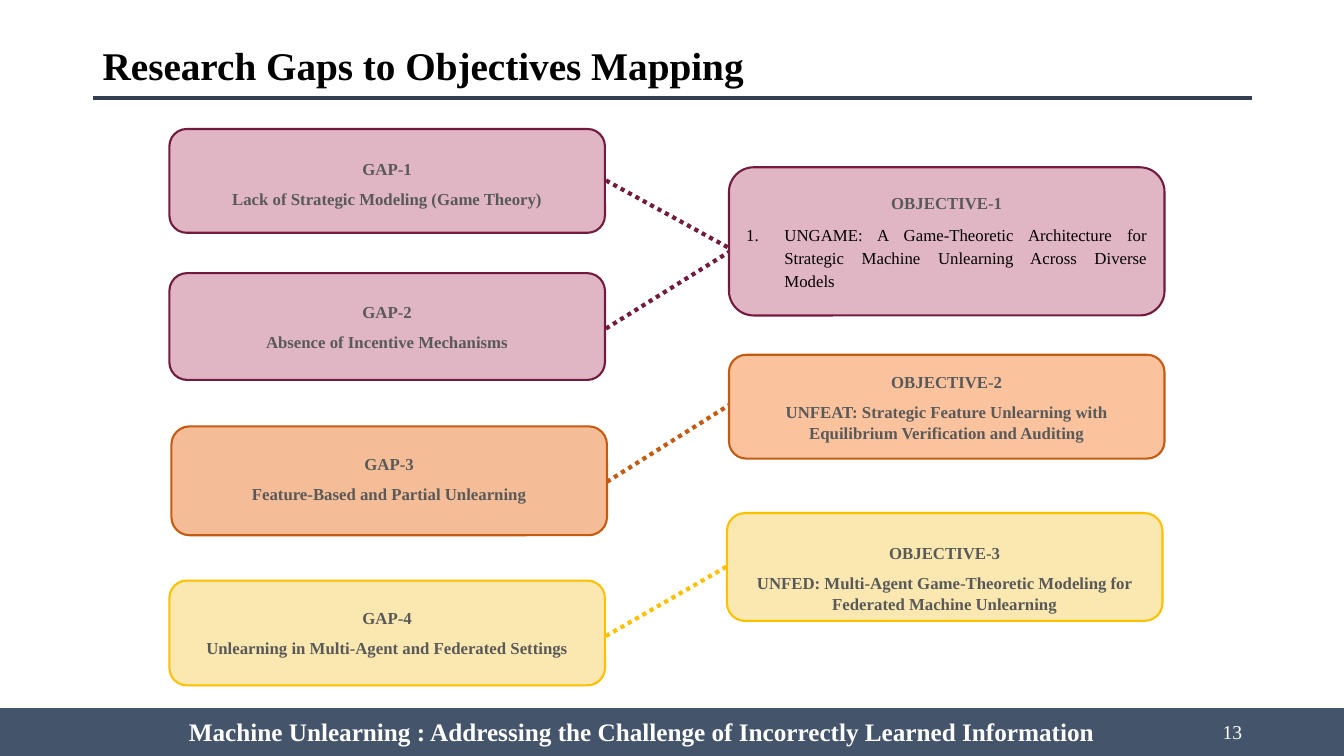
"""Builds the slide that maps research gaps to objectives."""
import pptx
import pptx.dml.color
import pptx.enum.dml
import pptx.enum.shapes
import pptx.enum.text
import pptx.oxml.ns
import pptx.util
from lxml import etree

Inches = pptx.util.Inches
Pt = pptx.util.Pt
Align = pptx.enum.text.PP_ALIGN
Anchor = pptx.enum.text.MSO_ANCHOR
qn = pptx.oxml.ns.qn


def color(hex_string):
    return pptx.dml.color.RGBColor.from_string(hex_string)


def write(paragraph, text, size, hex_string, bold, alignment):
    paragraph.text = text
    paragraph.alignment = alignment
    paragraph.font.name = "Times New Roman"
    paragraph.font.size = Pt(size)
    paragraph.font.bold = bold
    paragraph.font.color.rgb = color(hex_string)


presentation = pptx.Presentation()
presentation.slide_width = Inches(13.33)
presentation.slide_height = Inches(7.5)
slide = presentation.slides.add_slide(presentation.slide_layouts[6])

footer = slide.shapes.add_shape(
    pptx.enum.shapes.MSO_SHAPE.RECTANGLE, 0, Inches(7.03), Inches(13.33), Inches(0.47))
footer.shadow.inherit = False
footer.fill.solid()
footer.fill.fore_color.rgb = color("44546A")
footer.line.color.rgb = color("44546A")
footer.line.width = Pt(1)

labels = [
    (0.92, 0.36, 8.5, 0.57, "Research Gaps to Objectives Mapping", 28, "000000", True, Align.LEFT),
    (9.42, 7.06, 3, 0.4, "13", 14, "FFFFFF", False, Align.RIGHT),
    (1.45, 7.06, 9.83, 0.4,
     "Machine Unlearning : Addressing the Challenge of Incorrectly Learned Information",
     18, "FFFFFF", True, Align.CENTER),
]
for left, top, width, height, *text_style in labels:
    label = slide.shapes.add_textbox(Inches(left), Inches(top), Inches(width), Inches(height))
    label.text_frame.word_wrap = True
    label.text_frame.vertical_anchor = Anchor.MIDDLE
    write(label.text_frame.paragraphs[0], *text_style)

# left, top, height, fill, line, top inset, bottom inset, heading, body
cards = [
    (1.68, 1.28, 1.03, "C46F8A", "731B3F", 0.09, 0.05,
     "GAP-1", "Lack of Strategic Modeling (Game Theory)"),
    (1.68, 2.71, 1.06, "C46F8A", "731A3F", 0.05, 0.05,
     "GAP-2", "Absence of Incentive Mechanisms"),
    (1.7, 4.23, 1.08, "ED7D31", "C55A11", 0.05, 0.11,
     "GAP-3", "Feature-Based and Partial Unlearning"),
    (1.68, 5.76, 1.04, "F6D362", "FFC000", 0.05, 0.07,
     "GAP-4", "Unlearning in Multi-Agent and Federated Settings"),
    (7.23, 1.66, 1.47, "C46F8A", "731A3F", 0.05, 0.05, "OBJECTIVE-1",
     "UNGAME: A Game-Theoretic Architecture for Strategic Machine Unlearning Across Diverse Models"),
    (7.23, 3.52, 1.03, "F9873E", "C55A11", 0.05, 0.05, "OBJECTIVE-2",
     "UNFEAT: Strategic Feature Unlearning with Equilibrium Verification and Auditing"),
    (7.21, 5.09, 1.07, "F6D362", "FFC000", 0.21, 0, "OBJECTIVE-3",
     "UNFED: Multi-Agent Game-Theoretic Modeling for Federated Machine Unlearning"),
]
for left, top, height, fill, line, inset_top, inset_bottom, heading, body in cards:
    card = slide.shapes.add_shape(
        pptx.enum.shapes.MSO_SHAPE.ROUNDED_RECTANGLE,
        Inches(left), Inches(top), Inches(4.32), Inches(height))
    card.shadow.inherit = False
    card.fill.solid()
    card.fill.fore_color.rgb = color(fill)
    fill_color = card.fill._xPr.find(qn("a:solidFill"))[0]
    etree.SubElement(fill_color, qn("a:alpha"), val="50000")
    card.line.color.rgb = color(line)
    card.line.width = Pt(1.5)

    frame = card.text_frame
    frame.word_wrap = True
    frame.vertical_anchor = Anchor.MIDDLE
    frame.margin_top = Inches(inset_top)
    frame.margin_bottom = Inches(inset_bottom)
    heading_paragraph = frame.paragraphs[0]
    body_paragraph = frame.add_paragraph()
    write(heading_paragraph, heading, 12, "595959", True, Align.CENTER)
    if heading == "OBJECTIVE-1":
        properties = body_paragraph._p.get_or_add_pPr()
        properties.set("marL", str(Inches(0.38)))
        properties.set("indent", str(-Inches(0.38)))
        etree.SubElement(properties, qn("a:buAutoNum"), type="arabicPeriod")
        write(body_paragraph, body, 12, "000000", False, Align.JUSTIFY)
        body_spacing = 1.15
    else:
        write(body_paragraph, body, 12, "595959", True, Align.CENTER)
        body_spacing = 1.07
    heading_paragraph.line_spacing = 1.07
    body_paragraph.line_spacing = body_spacing
    heading_paragraph.space_after = body_paragraph.space_after = Pt(6)

dotted = pptx.enum.dml.MSO_LINE.ROUND_DOT
connectors = [
    (0.92, 0.97, 12.42, 0.97, "333F50", None),
    (6.01, 1.79, 7.23, 2.46, "731A3F", dotted),
    (6.01, 3.26, 7.23, 2.5, "731A3F", dotted),
    (6.02, 4.78, 7.23, 4.02, "C55A11", dotted),
    (6.01, 6.31, 7.21, 5.62, "FFC000", dotted),
]
for start_x, start_y, end_x, end_y, line, dash in connectors:
    connector = slide.shapes.add_connector(
        pptx.enum.shapes.MSO_CONNECTOR.STRAIGHT,
        Inches(start_x), Inches(start_y), Inches(end_x), Inches(end_y))
    connector.line.color.rgb = color(line)
    connector.line.width = Pt(3)
    if dash:
        connector.line.dash_style = dash
    etree.SubElement(connector._element.spPr, qn("a:effectLst"))

presentation.save("out.pptx")
